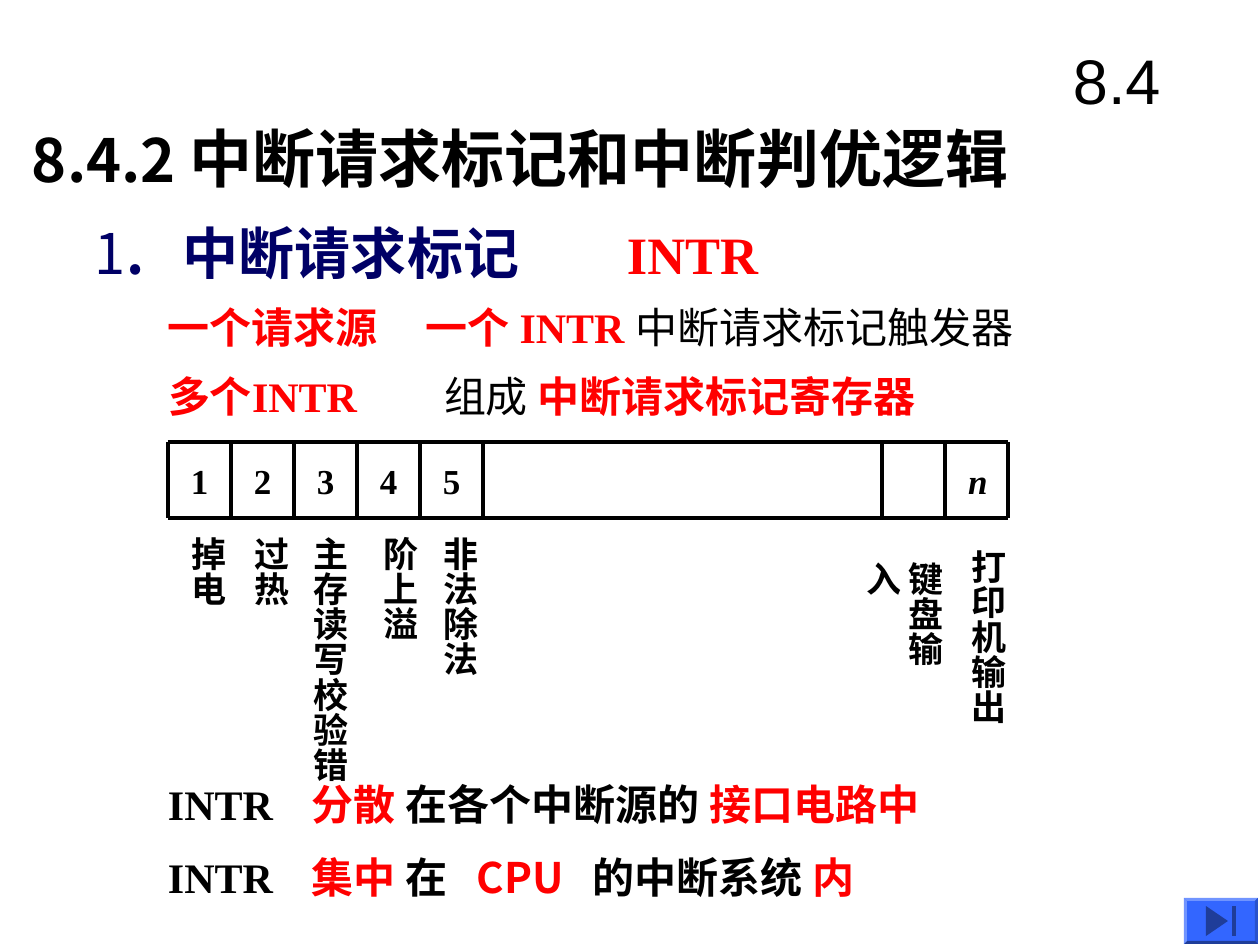
from lxml import etree
from pptx import Presentation
from pptx.dml.color import RGBColor
from pptx.enum.shapes import MSO_CONNECTOR as CONN
from pptx.enum.text import MSO_ANCHOR as ANCHOR, MSO_AUTO_SIZE as AUTO, PP_ALIGN as ALIGN
from pptx.oxml.ns import qn
from pptx.util import Pt

PX = 914400 / 126
BLACK = RGBColor(0x00, 0x00, 0x00)
RED = RGBColor(0xFF, 0x00, 0x00)
NAVY = RGBColor(0x00, 0x00, 0x66)
BLUE = RGBColor(0x33, 0x66, 0xFF)
LIGHT = RGBColor(0x70, 0x94, 0xFF)
DARK = RGBColor(0x29, 0x52, 0xCC)
DEEP = RGBColor(0x1F, 0x3D, 0x99)
SANS, SERIF = "Noto Sans CJK SC", "Times New Roman"


def px(n):
    return round(n * PX)


def write(sp, box, runs, size=24, font=SANS, color=BLACK, bold=True, italic=False,
          inset=(0, 6), anchor=ANCHOR.MIDDLE, wrap=True, auto=AUTO.NONE, tabs=(), vert=None):
    """Place sp and fill it with runs of (text, format overrides)."""
    sp.left, sp.top, sp.width, sp.height = map(px, box)
    tf = sp.text_frame
    tf.margin_left = tf.margin_right = px(inset[0])
    tf.margin_top = tf.margin_bottom = px(inset[1])
    tf.vertical_anchor, tf.word_wrap, tf.auto_size = anchor, wrap, auto
    if vert:
        tf._txBody.bodyPr.set("vert", vert)
    p = tf.paragraphs[0]
    p.alignment = ALIGN.LEFT
    if tabs:
        tab_list = etree.SubElement(p._p.get_or_add_pPr(), qn("a:tabLst"))
        for x in tabs:
            etree.SubElement(tab_list, qn("a:tab"), pos=str(px(x - box[0])), algn="l")
    for text, fmt in runs:
        fmt = dict(size=size, font=font, color=color, bold=bold) | fmt
        r = p.add_run()
        r.text = text
        f = r.font
        f.size, f.bold, f.italic = Pt(fmt["size"]), fmt["bold"], italic
        f.color.rgb = fmt["color"]
        f.name = fmt["font"]
        etree.SubElement(r._r.get_or_add_rPr(), qn("a:ea"), typeface=SANS)


prs = Presentation()
prs.slide_width, prs.slide_height = px(1260), px(945)
s = prs.slides.add_slide(prs.slide_layouts[5])

# Title
write(s.shapes.title, (32, 121, 1010, 73),
      [("8.4.2 ", dict(size=34)), ("中断请求标记和中断判优逻辑", {})], size=36)

# Heading and text lines
red = dict(color=RED)
plain = dict(bold=False)
intr = dict(font=SERIF)
red_intr = red | intr
lines = [
    ((95, 216, 829, 73), (183, 627), 32,
     [("1", dict(color=NAVY, bold=False)), (".\t中断请求标记", dict(color=NAVY)),
      ("\tINTR", red_intr | dict(size=30))]),
    ((168, 290, 955, 73), (426,), 24,
     [("一个请求源\t一个 ", red), ("INTR ", red_intr), ("中断请求标记触发器", plain)]),
    ((168, 359, 966, 73), (444,), 24,
     [("多个", red), ("INTR\t", red_intr), ("组成 ", plain), ("中断请求标记寄存器", red)]),
    ((168, 767, 872, 73), (312,), 24,
     [("INTR\t", intr), ("分散 ", red), ("在各个中断源的 ", {}), ("接口电路中", red)]),
    ((168, 840, 693, 73), (312, 477, 593), 24,
     [("INTR\t", intr), ("集中 ", red), ("在\t", {}), ("CPU\t", red),
      ("的中断系统 ", {}), ("内", red)]),
]
for box, tabs, size, runs in lines:
    write(s.shapes.add_textbox(0, 0, 0, 0), box, runs, size=size, tabs=tabs)

# Register outline and cell dividers
LEFT, RIGHT, TOP, BOTTOM, CELL = 168, 1008, 442, 518, 63
dividers = [LEFT + CELL * i for i in range(6)] + [RIGHT - CELL * i for i in (2, 1, 0)]
ends = [(LEFT, y, RIGHT, y) for y in (TOP, BOTTOM)] + [(x, TOP, x, BOTTOM) for x in dividers]
for end in ends:
    line = s.shapes.add_connector(CONN.STRAIGHT, *map(px, end))
    line.line.color.rgb = BLACK
    line.line.width = Pt(2.25)
    etree.SubElement(line._element.spPr, qn("a:effectLst"))

# Cell numbers
cells = [(str(i + 1), LEFT + CELL * i) for i in range(5)] + [("n", RIGHT - CELL)]
for label, x in cells:
    write(s.shapes.add_textbox(0, 0, 0, 0), (x + 10, 453, 43, 55), [(label, {})], size=20,
          font=SERIF, italic=label == "n", inset=(13, 6), anchor=ANCHOR.TOP, wrap=False,
          auto=AUTO.SHAPE_TO_FIT_TEXT)

# Vertical names of the interrupt sources
sources = [("掉电", 168, 524, 83, False), ("过热", 231, 524, 83, False),
           ("主存读写校验错", 290, 524, 258, False), ("阶上溢", 360, 524, 118, False),
           ("非法除法", 420, 524, 154, False),
           ("键盘输入", 885, 549, 164, True), ("打印机输出", 948, 537, 214, True)]
for name, x, y, height, wrap in sources:
    write(s.shapes.add_textbox(0, 0, 0, 0), (x, y, 67, height), [(name, {})], size=20,
          font=SERIF, inset=(6, 13), anchor=ANCHOR.TOP, wrap=wrap,
          auto=AUTO.SHAPE_TO_FIT_TEXT, vert="eaVert")

# Section number
write(s.shapes.add_textbox(0, 0, 0, 0), (1060, 21, 158, 116), [("8.4", {})], size=36,
      font="Arial", bold=False, inset=(13, 6))

# Bevelled button with a skip-to-end icon
x1, y1, x2, y2, edge = 1184, 898, 1258, 944, 3
outer = [(x1, y1), (x2, y1), (x2, y2), (x1, y2)]
inner = [(x1 + edge, y1 + edge), (x2 - edge, y1 + edge),
         (x2 - edge, y2 - edge), (x1 + edge, y2 - edge)]
parts = [(BLUE, outer)]
for i, color in enumerate((LIGHT, DARK, DEEP, LIGHT)):
    j = (i + 1) % 4
    parts.append((color, [outer[i], outer[j], inner[j], inner[i]]))
parts += [(DEEP, [(1228, 921), (1206, 936), (1206, 906)]),
          (DEEP, [(1232, 906), (1236, 906), (1236, 936), (1232, 936)])]
for color, points in parts:
    outline = s.shapes.build_freeform(*points[0], scale=PX)
    outline.add_line_segments(points[1:], close=True)
    sp = outline.convert_to_shape()
    sp.shadow.inherit = False
    sp.fill.solid()
    sp.fill.fore_color.rgb = color
    sp.line.fill.background()

prs.save("out.pptx")
